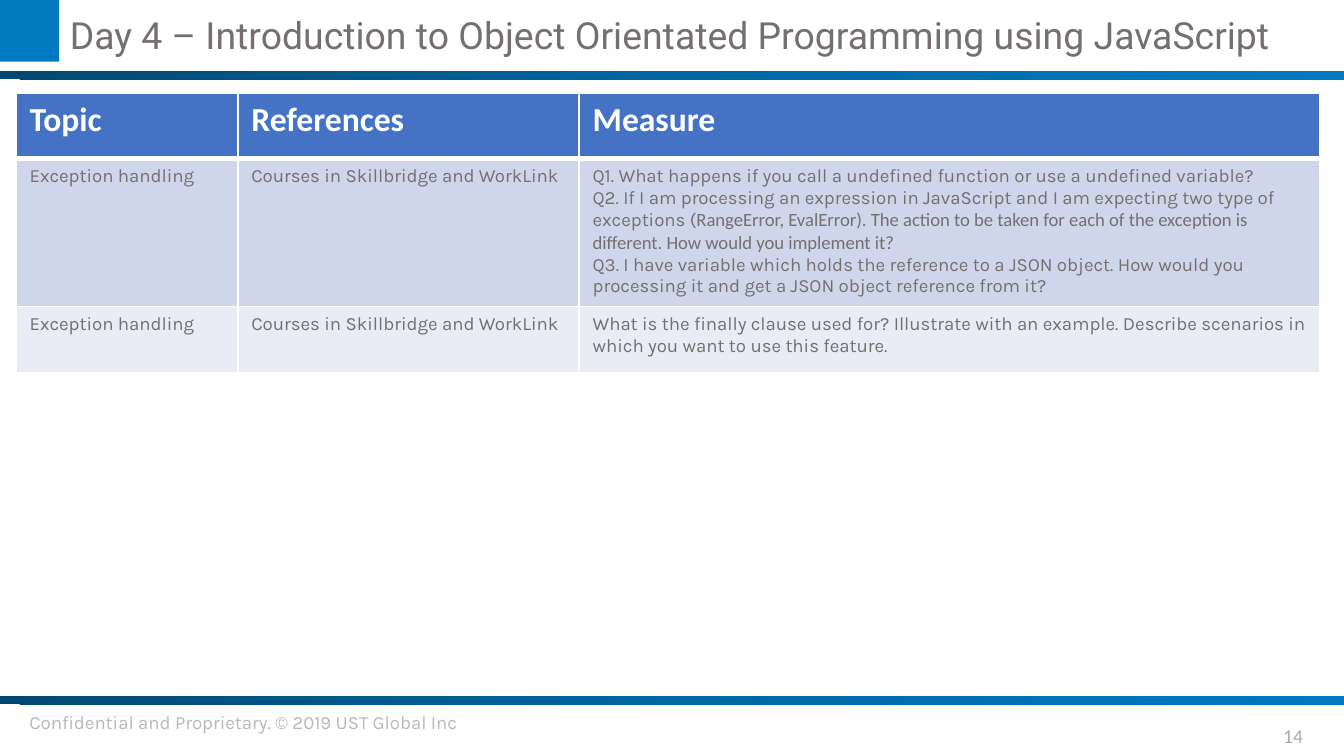
from dataclasses import dataclass
from typing import NamedTuple

from lxml import etree
from pptx import Presentation
from pptx import util as u
from pptx.dml.color import RGBColor
from pptx.enum import shapes, text
from pptx.oxml import ns


@dataclass(frozen=True)
class Theme:
    blue: str = "0079C1"
    bar_stops: tuple = ((0, "004872"), (50, "0066A3"), (100, "0079C1"))
    header_fill: str = "4472C4"
    row_fills: tuple = ("CFD5EA", "E9EBF5")
    white: str = "FFFFFF"
    grey: str = "757070"
    footer_grey: str = "BAB7B7"
    number_grey: str = "ADA9A9"
    title_size: float = 20
    header_size: float = 18
    body_size: float = 10
    number_size: float = 10.5
    title_font: str = "Roboto"
    header_font: str = "Calibri"
    body_font: str = "Karla"


class Box(NamedTuple):
    left: float
    top: float
    width: float
    height: float

    def lengths(self) -> list:
        return [u.Inches(value) for value in self]


class Span(NamedTuple):
    words: str
    font: str


THEME = Theme()
BARS = [Box(0, top, 10, 0.06) for top in (0.53, 5.18)]
COLUMN_WIDTHS = (1.65, 2.54, 5.51)
ROW_HEIGHTS = (0.49, 1.07, 0.49)
HEADERS = ("Topic", "References", "Measure")
TOPIC = "Exception handling"
COURSES = "Courses in Skillbridge and WorkLink"
QUESTIONS = [
    ["Q1. What happens if you call a undefined function or use a undefined variable?"],
    [
        "Q2. If I am processing an expression in JavaScript and I am expecting two type of exceptions (",
        Span(
            "RangeError, EvalError). The action to be taken for each of the exception is "
            "different. How would you implement it?",
            "Calibri",
        ),
    ],
    [
        "Q3. I have variable which holds the reference to a JSON object. "
        "How would you processing it and get a JSON object reference from it?"
    ],
]
FINALLY_QUESTION = (
    "What is the finally clause used for? Illustrate with an example. "
    "Describe scenarios in which you want to use this feature."
)
ROWS = ((TOPIC, COURSES, QUESTIONS), (TOPIC, COURSES, FINALLY_QUESTION))


def write_text(frame, content, *, font: str, size: float, color: str,
               bold: bool = False, align=text.PP_ALIGN.LEFT) -> None:
    paragraphs = [[content]] if isinstance(content, str) else content
    frame.word_wrap = True
    for index, spans in enumerate(paragraphs):
        paragraph = frame.add_paragraph() if index else frame.paragraphs[0]
        paragraph.alignment = align
        for item in spans:
            span = item if isinstance(item, Span) else Span(item, font)
            run = paragraph.add_run()
            run.text = span.words
            run.font.name = span.font
            run.font.size = u.Pt(size)
            run.font.bold = bold
            run.font.color.rgb = RGBColor.from_string(color)


def add_text(slide, box: Box, content: str, *, inset: bool = False,
             anchor=text.MSO_ANCHOR.TOP, **text_format) -> None:
    frame = slide.shapes.add_textbox(*box.lengths()).text_frame
    frame.vertical_anchor = anchor
    if not inset:
        frame.margin_left = frame.margin_right = 0
        frame.margin_top = frame.margin_bottom = 0
    write_text(frame, content, **text_format)


def add_rectangle(slide, box: Box, color: str):
    shape = slide.shapes.add_shape(shapes.MSO_SHAPE.RECTANGLE, *box.lengths())
    shape.shadow.inherit = False
    shape.fill.solid()
    shape.fill.fore_color.rgb = RGBColor.from_string(color)
    shape.line.fill.background()
    return shape


def add_bar(slide, box: Box) -> None:
    shape = add_rectangle(slide, box, THEME.blue)
    shape.fill.gradient()
    shape.fill.gradient_angle = 315
    stops = next(shape._element.iter(ns.qn("a:gsLst")))
    for stop in list(stops):
        stops.remove(stop)
    for percent, color in THEME.bar_stops:
        stop = etree.SubElement(stops, ns.qn("a:gs"), pos=str(percent * 1000))
        etree.SubElement(stop, ns.qn("a:srgbClr"), val=color)


def set_borders(cell, bottom: float) -> None:
    properties = cell._tc.get_or_add_tcPr()
    widths = {"lnL": 1, "lnR": 1, "lnT": 1, "lnB": bottom}
    for index, (side, width) in enumerate(widths.items()):
        line = etree.Element(ns.qn(f"a:{side}"), w=str(u.Pt(width)))
        fill = etree.SubElement(line, ns.qn("a:solidFill"))
        etree.SubElement(fill, ns.qn("a:srgbClr"), val=THEME.white)
        properties.insert(index, line)


def fill_row(table, row: int, contents: tuple, fill: str, border: float = 1,
             **text_format) -> None:
    for column, content in enumerate(contents):
        cell = table.cell(row, column)
        cell.fill.solid()
        cell.fill.fore_color.rgb = RGBColor.from_string(fill)
        set_borders(cell, border)
        write_text(cell.text_frame, content, **text_format)


def add_topics_table(slide) -> None:
    box = Box(0.12, 0.69, sum(COLUMN_WIDTHS), sum(ROW_HEIGHTS))
    table = slide.shapes.add_table(
        len(ROW_HEIGHTS), len(COLUMN_WIDTHS), *box.lengths()
    ).table
    table.first_row = table.horz_banding = False
    for column, width in zip(table.columns, COLUMN_WIDTHS):
        column.width = u.Inches(width)
    for row, height in zip(table.rows, ROW_HEIGHTS):
        row.height = u.Inches(height)
    fill_row(table, 0, HEADERS, THEME.header_fill, border=3, font=THEME.header_font,
             size=THEME.header_size, color=THEME.white, bold=True)
    for index, (contents, fill) in enumerate(zip(ROWS, THEME.row_fills), start=1):
        fill_row(table, index, contents, fill, font=THEME.body_font,
                 size=THEME.body_size, color=THEME.grey)


def main() -> None:
    presentation = Presentation()
    presentation.slide_width = u.Inches(10)
    presentation.slide_height = u.Inches(10 * 9 / 16)
    slide = presentation.slides.add_slide(presentation.slide_layouts[6])

    add_text(slide, Box(0.12, 5.24, 5, 0.27),
             "Confidential and Proprietary. © 2019 UST Global Inc",
             inset=True, font=THEME.body_font, size=THEME.body_size,
             color=THEME.footer_grey)
    add_rectangle(slide, Box(0, 0, 0.44, 0.46), THEME.blue)
    add_text(slide, Box(9.34, 5.38, 0.53, 0.19), " 14",
             anchor=text.MSO_ANCHOR.MIDDLE, align=text.PP_ALIGN.CENTER,
             font=THEME.header_font, size=THEME.number_size, color=THEME.number_grey)
    add_text(slide, Box(0.52, 0.09, 9.16, 0.34),
             "Day 4 – Introduction to Object Orientated Programming using JavaScript",
             font=THEME.title_font, size=THEME.title_size, color=THEME.grey)
    for bar in BARS:
        add_bar(slide, bar)
    add_topics_table(slide)
    presentation.save("out.pptx")


if __name__ == "__main__":
    main()
